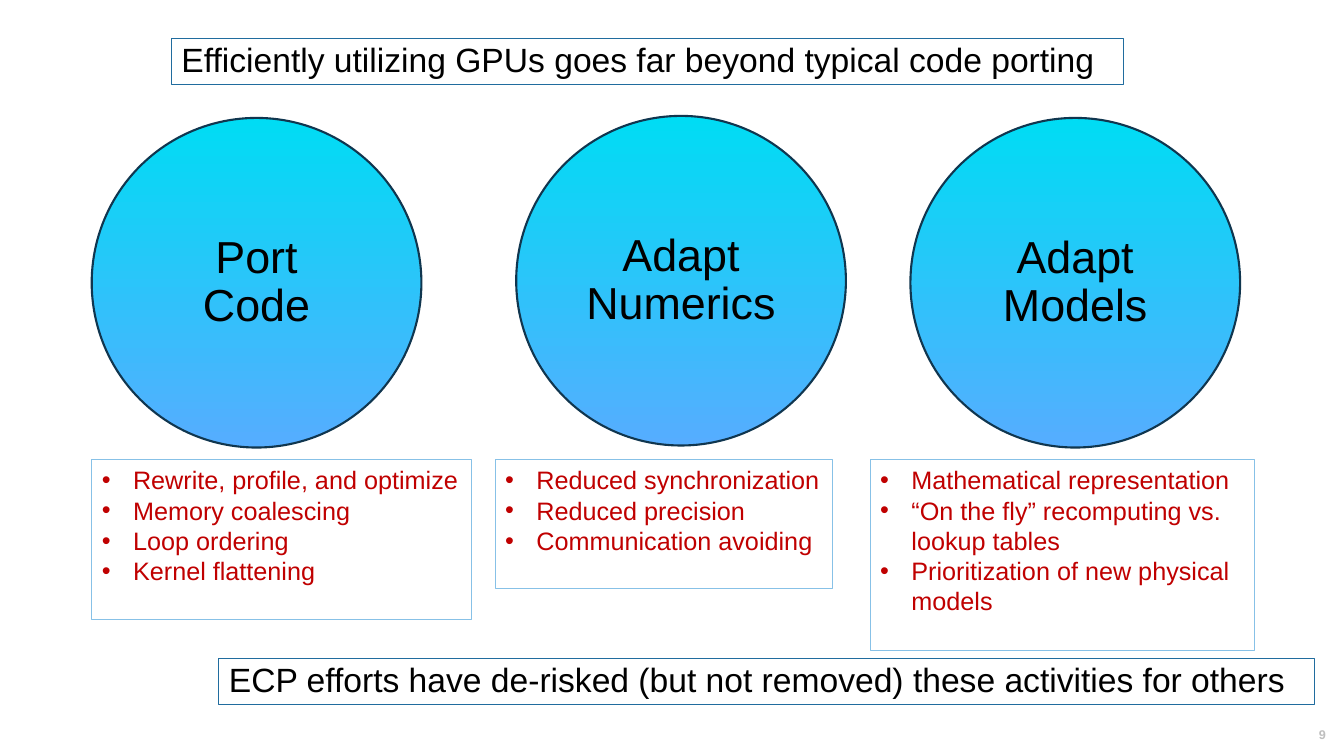
from dataclasses import dataclass

from lxml import etree
from pptx import Presentation
from pptx.dml.color import RGBColor
from pptx.enum.shapes import MSO_SHAPE
from pptx.enum.text import MSO_ANCHOR, MSO_AUTO_SIZE, PP_ALIGN
from pptx.oxml.ns import qn
from pptx.util import Inches, Pt


@dataclass(frozen=True)
class Theme:
    font: str = "Arial"
    black: str = "000000"
    red: str = "C00000"
    gray: str = "BFBFBF"
    grad_top: str = "00DCF4"
    grad_bottom: str = "56ADFF"
    circle_line: str = "10364F"
    list_line: str = "87C1E7"
    banner_line: str = "206C9E"
    circle_size: int = 32
    banner_size: int = 24
    list_size: int = 18
    number_size: int = 9


theme = Theme()


def add_run(p, text, size, color, bold=False):
    r = p.add_run()
    r.text = text
    r.font.name = theme.font
    r.font.size = Pt(size)
    r.font.bold = bold
    r.font.color.rgb = RGBColor.from_string(color)


def frame_box(sp, box, line):
    """Place a placeholder, outline it and return its text frame."""
    sp.left, sp.top, sp.width, sp.height = [Inches(v) for v in box]
    sp.fill.background()
    sp.line.color.rgb = RGBColor.from_string(line)
    sp.line.width = Pt(0.75)
    tf = sp.text_frame
    tf.word_wrap = True
    tf.auto_size = MSO_AUTO_SIZE.NONE
    tf.vertical_anchor = MSO_ANCHOR.TOP
    tf.margin_left, tf.margin_right = Inches(0.1), Inches(0.05)
    tf.margin_top = tf.margin_bottom = Inches(0.05)
    return tf


prs = Presentation()
prs.slide_width, prs.slide_height = Inches(13.33), Inches(7.5)
s = prs.slides.add_slide(prs.slide_layouts.get_by_name("Comparison"))
statement, *list_holders = [ph for ph in s.placeholders if ph != s.shapes.title]

# Headline and closing statement
banners = [
    (s.shapes.title, (1.7, 0.38, 9.44, 0.46),
     "Efficiently utilizing GPUs goes far beyond typical code porting"),
    (statement, (2.17, 6.53, 10.87, 0.46),
     "ECP efforts have de-risked (but not removed) these activities for others"),
]
for sp, box, text in banners:
    p = frame_box(sp, box, theme.banner_line).paragraphs[0]
    p.alignment = PP_ALIGN.LEFT
    p.line_spacing = 0.9
    p.space_before = Pt(0)
    add_run(p, text, theme.banner_size, theme.black)

# Three activities: circle position, then the list box under it
activities = [
    ("Port Code", (0.91, 1.17), (0.91, 4.56, 3.77, 1.59),
     ["Rewrite, profile, and optimize", "Memory coalescing",
      "Loop ordering", "Kernel flattening"]),
    ("Adapt Numerics", (5.12, 1.15), (4.91, 4.56, 3.35, 1.28),
     ["Reduced synchronization", "Reduced precision",
      "Communication avoiding"]),
    ("Adapt Models", (9.03, 1.17), (8.63, 4.56, 3.81, 1.89),
     ["Mathematical representation",
      "“On the fly” recomputing vs. lookup tables",
      "Prioritization of new physical models"]),
]
diameter = Inches(3.27)
indent = Inches(0.31)

for holder, (name, (x, y), box, items) in zip(list_holders, activities):
    # Circle
    sp = s.shapes.add_shape(MSO_SHAPE.OVAL, Inches(x), Inches(y), diameter, diameter)
    sp.shadow.inherit = False
    sp.fill.gradient()
    sp.fill.gradient_angle = 270
    for stop, position, color in zip(sp.fill.gradient_stops, (0, 1),
                                     (theme.grad_top, theme.grad_bottom)):
        stop.position = position
        stop.color.rgb = RGBColor.from_string(color)
    sp.line.color.rgb = RGBColor.from_string(theme.circle_line)
    sp.line.width = Pt(1.5)
    tf = sp.text_frame
    tf.word_wrap = True
    tf.vertical_anchor = MSO_ANCHOR.MIDDLE
    tf.margin_left = tf.margin_right = tf.margin_top = tf.margin_bottom = Inches(0.2)
    p = tf.paragraphs[0]
    p.alignment = PP_ALIGN.CENTER
    p.line_spacing = 0.9
    add_run(p, name, theme.circle_size, theme.black)

    # Bulleted list
    tf = frame_box(holder, box, theme.list_line)
    for i, item in enumerate(items):
        p = tf.add_paragraph() if i else tf.paragraphs[0]
        pPr = p._p.get_or_add_pPr()
        pPr.set("marL", str(indent))
        pPr.set("indent", str(-indent))
        etree.SubElement(pPr, qn("a:buFont")).set("typeface", theme.font)
        etree.SubElement(pPr, qn("a:buChar")).set("char", "•")
        p.line_spacing = 1.0
        p.space_before = Pt(0)
        add_run(p, item, theme.list_size, theme.red)

# Slide number
number = s.shapes.add_textbox(Inches(12.96), Inches(7.21), Inches(0.31), Inches(0.17))
tf = number.text_frame
tf.word_wrap = True
tf.vertical_anchor = MSO_ANCHOR.MIDDLE
tf.margin_left = tf.margin_right = tf.margin_top = tf.margin_bottom = 0
p = tf.paragraphs[0]
p.alignment = PP_ALIGN.CENTER
p.line_spacing = 0.9
add_run(p, "9", theme.number_size, theme.gray, bold=True)

prs.save("out.pptx")
